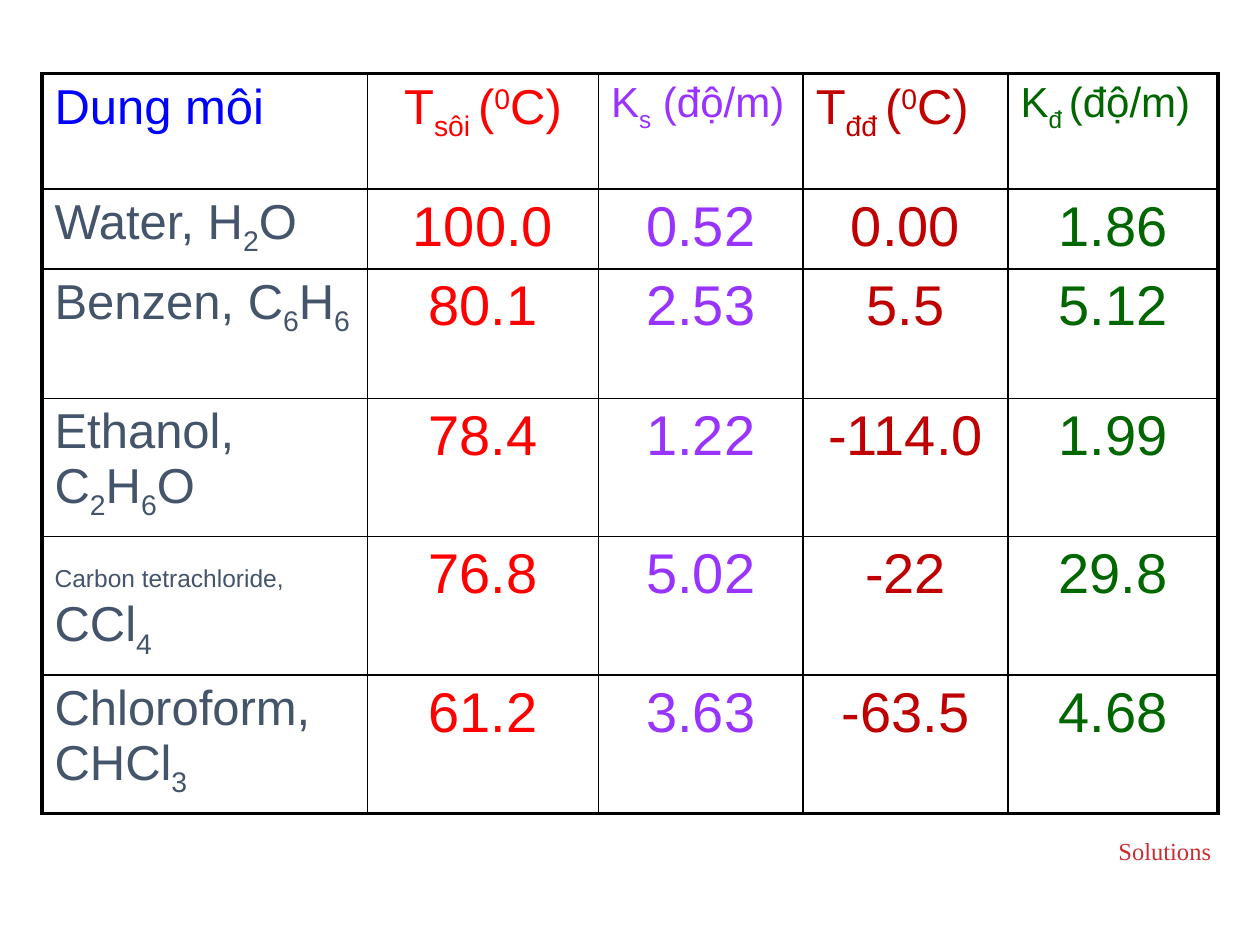
from lxml.etree import SubElement
from pptx import Presentation
from pptx.dml.color import RGBColor
from pptx.enum.text import PP_ALIGN
from pptx.oxml.ns import qn
from pptx.util import Pt

COLS = [186, 132, 117, 117, 120]
ROWS = [66, 45, 74, 74, 74, 76]
HUES = ["44546A", "FF0000", "9933FF", "C00000", "006600"]
SUB, SUP = -25, 30

HEADS = [
    (28, [("Dung môi", 0)]),
    (28, [("T", 0), ("sôi ", SUB), ("(", 0), ("0", SUP), ("C)", 0)]),
    (24, [("K", 0), ("s", SUB), (" (độ/m)", 0)]),
    (28, [("T", 0), ("đđ ", SUB), ("(", 0), ("0", SUP), ("C)", 0)]),
    (24, [("K", 0), ("đ ", SUB), ("(độ/m)", 0)]),
]
DATA = [
    ([("Water, H", 0), ("2", SUB), ("O", 0)], "100.0", "0.52", "0.00", "1.86"),
    ([("Benzen, C", 0), ("6", SUB), ("H", 0), ("6", SUB)], "80.1", "2.53", "5.5", "5.12"),
    ([("Ethanol, C", 0), ("2", SUB), ("H", 0), ("6", SUB), ("O", 0)],
     "78.4", "1.22", "-114.0", "1.99"),
    ([("Carbon tetrachloride,", 0, 14), (" CCl", 0), ("4", SUB)],
     "76.8", "5.02", "-22", "29.8"),
    ([("Chloroform, CHCl", 0), ("3", SUB)], "61.2", "3.63", "-63.5", "4.68"),
]


def color(code):
    return RGBColor.from_string(code)


class Deck:
    face = "Arial"
    ink = "000000"
    paper = "FFFFFF"
    thin = 1
    thick = 2.25

    def __init__(self, wide, high):
        self.file = Presentation()
        self.file.slide_width, self.file.slide_height = Pt(wide), Pt(high)
        self.slide = self.file.slides.add_slide(self.file.slide_layouts[6])

    def run(self, para, text, size, hue, base=0, face=None):
        run = para.add_run()
        run.text = text
        font = run.font
        font.size, font.name = Pt(size), face or self.face
        font.color.rgb = color(hue)
        if base:
            font._element.set("baseline", str(base * 1000))

    def label(self, text, left, top, wide, high, size, hue, face):
        box = self.slide.shapes.add_textbox(Pt(left), Pt(top), Pt(wide), Pt(high))
        box.text_frame.word_wrap = False
        self.run(box.text_frame.paragraphs[0], text, size, hue, face=face)

    def table(self, left, top, cols, rows):
        frame = self.slide.shapes.add_table(
            len(rows), len(cols), Pt(left), Pt(top), Pt(sum(cols)), Pt(sum(rows)))
        table = frame.table
        table.first_row = table.horz_banding = False
        for col, wide in zip(table.columns, cols):
            col.width = Pt(wide)
        for row, high in zip(table.rows, rows):
            row.height = Pt(high)
        for y in range(len(rows)):
            for x in range(len(cols)):
                outer = {"L": x == 0, "R": x == len(cols) - 1,
                         "T": y == 0, "B": y == len(rows) - 1}
                self.frame(table.cell(y, x), outer)
        return table

    def frame(self, cell, outer):
        props = cell._tc.get_or_add_tcPr()
        for side, edge in outer.items():
            width = Pt(self.thick if edge else self.thin)
            line = SubElement(props, qn("a:ln" + side), w=str(int(width)))
            fill = SubElement(line, qn("a:solidFill"))
            SubElement(fill, qn("a:srgbClr"), val=self.ink)
        cell.fill.solid()
        cell.fill.fore_color.rgb = color(self.paper)

    def cell(self, cell, runs, size, hue, mid=False):
        para = cell.text_frame.paragraphs[0]
        para.alignment = PP_ALIGN.CENTER if mid else PP_ALIGN.LEFT
        gap = SubElement(para._p.get_or_add_pPr(), qn("a:spcBef"))
        SubElement(gap, qn("a:spcPct"), val="20000")
        for text, base, *own in runs:
            self.run(para, text, own[0] if own else size, hue, base)

    def save(self):
        self.file.save("out.pptx")


def main():
    deck = Deck(720, 540)
    deck.label("Solutions", 632, 474, 68, 24, 14, "C82E32", "Times New Roman")
    table = deck.table(24, 42, COLS, ROWS)
    for x, (size, runs) in enumerate(HEADS):
        hue = HUES[x] if x else "0000FF"
        deck.cell(table.cell(0, x), runs, size, hue, mid=x == 1)
    for y, (name, *nums) in enumerate(DATA, 1):
        deck.cell(table.cell(y, 0), name, 28, HUES[0])
        for x, num in enumerate(nums, 1):
            deck.cell(table.cell(y, x), [(num, 0)], 32, HUES[x], mid=True)
    deck.save()


if __name__ == "__main__":
    main()
